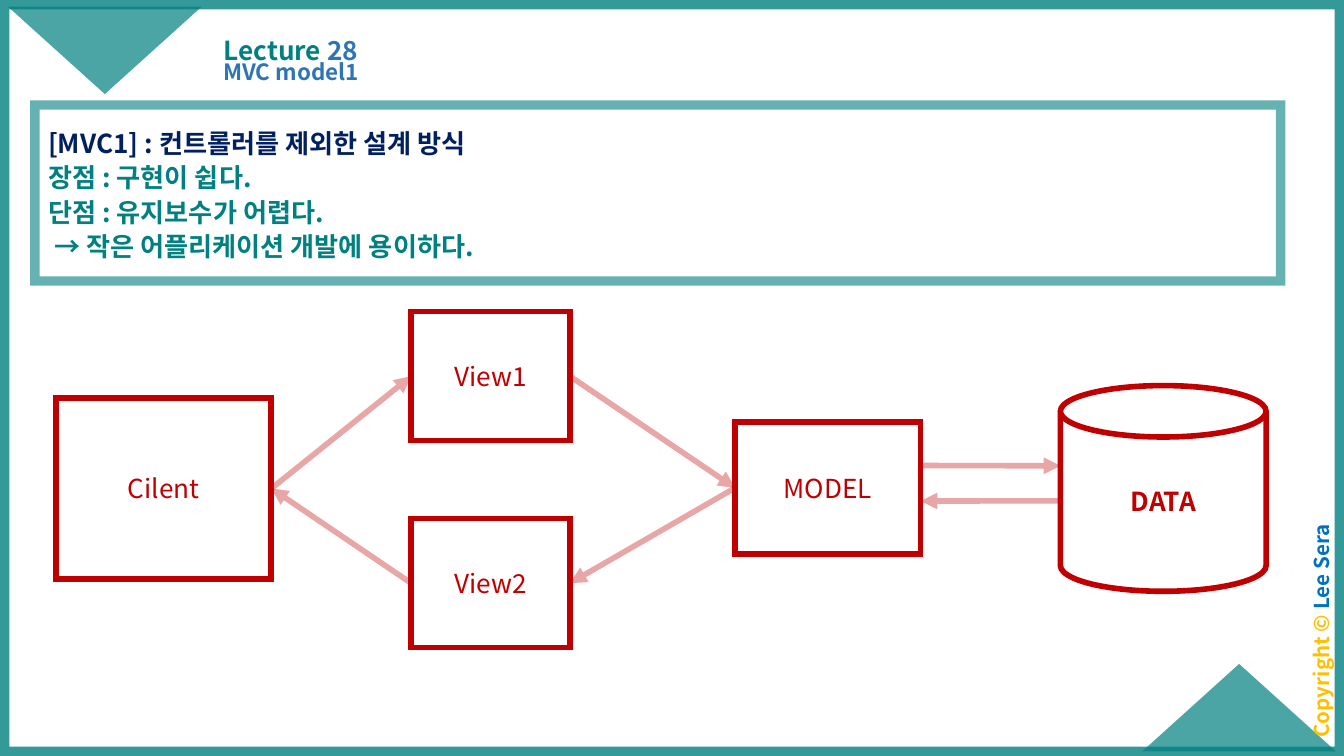
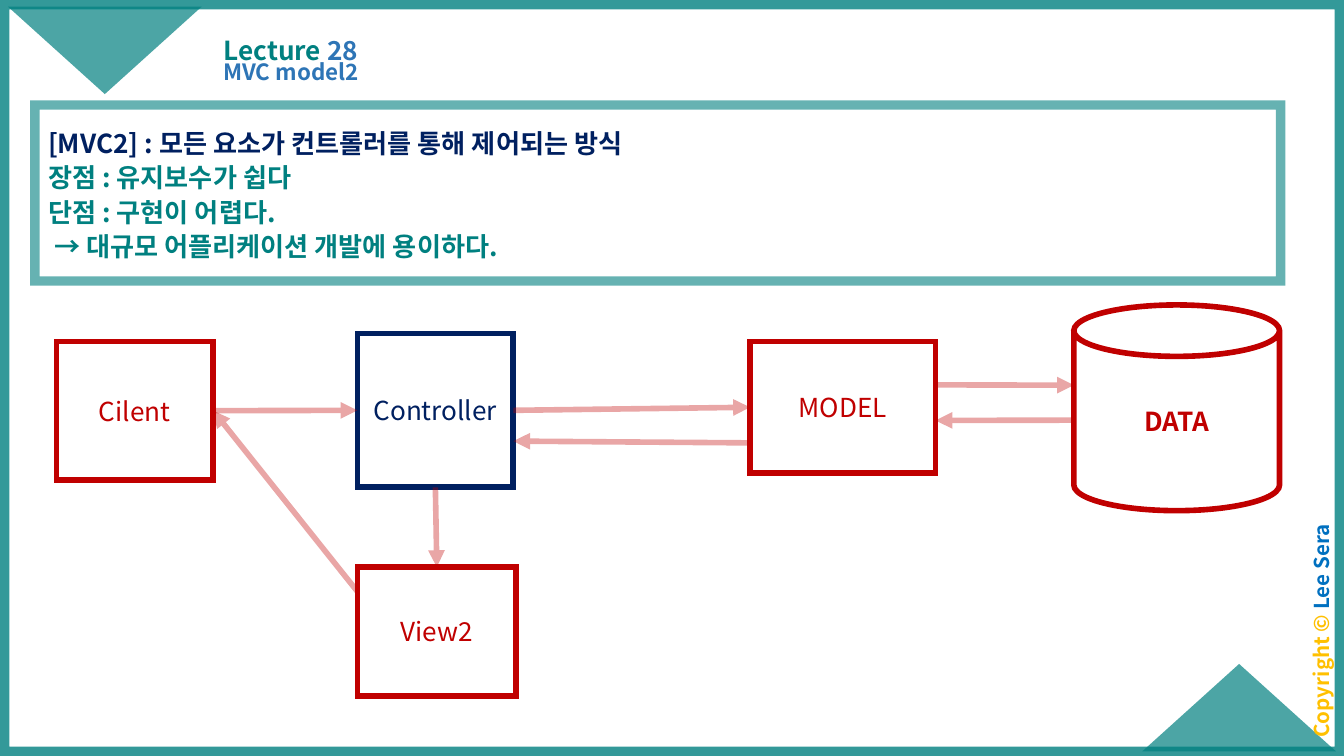
"""Builds two lecture slides that compare the MVC model 1 and model 2 designs."""
from dataclasses import dataclass
from typing import Optional

from lxml.etree import SubElement
from pptx import Presentation
from pptx.dml.color import RGBColor
from pptx.enum.shapes import MSO_CONNECTOR, MSO_SHAPE
from pptx.enum.text import MSO_ANCHOR, PP_ALIGN
from pptx.oxml.ns import qn
from pptx.shapes.autoshape import Shape
from pptx.slide import Slide
from pptx.text.text import TextFrame
from pptx.util import Pt

FONT = "Noto Sans CJK KR"
TEAL = RGBColor(0x00, 0x80, 0x80)
BLUE = RGBColor(0x2E, 0x75, 0xB6)
BRIGHT_BLUE = RGBColor(0x00, 0x70, 0xC0)
NAVY = RGBColor(0x00, 0x20, 0x60)
GOLD = RGBColor(0xFF, 0xC0, 0x00)
RED = RGBColor(0xC0, 0x00, 0x00)
WIDTH, HEIGHT = 720, 405


@dataclass(frozen=True)
class Box:
    left: float
    top: float
    width: float
    height: float

    def lengths(self) -> tuple[Pt, Pt, Pt, Pt]:
        return Pt(self.left), Pt(self.top), Pt(self.width), Pt(self.height)

    def point(self, across: float, down: float) -> tuple[Pt, Pt]:
        return Pt(self.left + across * self.width), Pt(self.top + down * self.height)


@dataclass(frozen=True)
class Span:
    text: str
    color: RGBColor


@dataclass(frozen=True)
class TextStyle:
    size: float = 14
    bold: bool = True
    align: PP_ALIGN = PP_ALIGN.CENTER
    spacing: float = 0.9
    before: float = 0


@dataclass(frozen=True)
class Node:
    label: str
    box: Box
    color: RGBColor = RED
    preset: MSO_SHAPE = MSO_SHAPE.RECTANGLE
    bold: bool = False


@dataclass(frozen=True)
class End:
    label: str
    across: float
    down: float = 0.5


@dataclass(frozen=True)
class Link:
    start: End
    finish: End


@dataclass(frozen=True)
class Lesson:
    subtitle: str
    definition: str
    remarks: tuple[str, ...]
    nodes: tuple[Node, ...]
    links: tuple[Link, ...]


FRAME = Box(0, 0, WIDTH, HEIGHT)
LOWER_CORNER = Box(612, 355.7, 103.7, 46.8)
UPPER_CORNER = Box(4.3, 3.6, 103.7, 46.8)
COPYRIGHT = Box(642.2, 329, 133.9, 18)
TITLE = Box(100.8, 4.3, 110.2, 33.8)
SUBTITLE = Box(79.2, 30.2, 153.4, 24.5)
SUMMARY = Box(18.7, 56.2, 667.4, 94.3)
VIEW_SIZE = (85, 69.1)
MODEL_SIZE = (99.4, 70.6)
DATA_SIZE = (110.2, 110.2)


def write(frame: TextFrame, lines: list[list[Span]], style: TextStyle) -> None:
    frame.word_wrap = True
    for index, spans in enumerate(lines):
        paragraph = frame.add_paragraph() if index else frame.paragraphs[0]
        paragraph.alignment = style.align
        paragraph.line_spacing = style.spacing
        paragraph.space_before = Pt(style.before)
        font = paragraph.font
        font.name, font.size, font.bold = FONT, Pt(style.size), style.bold
        if len(spans) == 1:
            font.color.rgb = spans[0].color
        defaults = paragraph._p.pPr.find(qn("a:defRPr"))
        SubElement(defaults, qn("a:ea"), typeface=FONT)
        for span in spans:
            run = paragraph.add_run()
            run.text = span.text
            if len(spans) > 1:
                run.font.color.rgb = span.color


def set_opacity(parent, percent: int) -> None:
    color = parent.find(qn("a:solidFill")).find(qn("a:srgbClr"))
    SubElement(color, qn("a:alpha"), val=str(percent * 1000))


def add_outline(slide: Slide, preset: MSO_SHAPE, box: Box, color: RGBColor,
                weight: float, opacity: Optional[int] = None) -> Shape:
    shape = slide.shapes.add_shape(preset, *box.lengths())
    shape.shadow.inherit = False
    shape.fill.background()
    shape.line.color.rgb = color
    shape.line.width = Pt(weight)
    stroke = shape._element.spPr.find(qn("a:ln"))
    SubElement(stroke, qn("a:miter"), lim="800000")
    if opacity is not None:
        set_opacity(stroke, opacity)
    return shape


def add_corner(slide: Slide, box: Box, rotation: float = 0) -> None:
    corner = slide.shapes.add_shape(MSO_SHAPE.ISOSCELES_TRIANGLE, *box.lengths())
    corner.shadow.inherit = False
    corner.rotation = rotation
    corner.fill.solid()
    corner.fill.fore_color.rgb = TEAL
    corner.line.fill.background()
    set_opacity(corner._element.spPr, 70)


def add_caption(slide: Slide, box: Box, spans: list[Span], style: TextStyle,
                anchor: MSO_ANCHOR = MSO_ANCHOR.TOP, rotation: float = 0) -> None:
    caption = slide.shapes.add_textbox(*box.lengths())
    caption.rotation = rotation
    frame = caption.text_frame
    frame.margin_left = frame.margin_right = Pt(5.4)
    frame.margin_top = frame.margin_bottom = Pt(2.7)
    frame.vertical_anchor = anchor
    write(frame, [spans], style)


def add_node(slide: Slide, node: Node) -> None:
    shape = add_outline(slide, node.preset, node.box, node.color, 3)
    shape.text_frame.vertical_anchor = MSO_ANCHOR.MIDDLE
    write(shape.text_frame, [[Span(node.label, node.color)]],
          TextStyle(bold=node.bold, spacing=1.0))


def add_link(slide: Slide, link: Link, boxes: dict[str, Box]) -> None:
    start, finish = (boxes[end.label].point(end.across, end.down)
                     for end in (link.start, link.finish))
    arrow = slide.shapes.add_connector(MSO_CONNECTOR.STRAIGHT, *start, *finish)
    arrow.line.color.rgb = RED
    arrow.line.width = Pt(3)
    properties = arrow._element.spPr
    stroke = properties.find(qn("a:ln"))
    set_opacity(stroke, 35)
    SubElement(stroke, qn("a:tailEnd"), type="triangle")
    SubElement(properties, qn("a:effectLst"))


def add_lesson(slide: Slide, lesson: Lesson) -> None:
    add_outline(slide, MSO_SHAPE.RECTANGLE, FRAME, TEAL, 10, 80)
    add_corner(slide, LOWER_CORNER)
    add_corner(slide, UPPER_CORNER, 180)
    add_caption(slide, COPYRIGHT, [Span("Copyright © ", GOLD), Span("Lee Sera", BRIGHT_BLUE)],
                TextStyle(size=11, before=10), rotation=270)
    add_caption(slide, TITLE, [Span("Lecture ", TEAL), Span("28", BLUE)],
                TextStyle(), MSO_ANCHOR.BOTTOM)
    add_caption(slide, SUBTITLE, [Span(lesson.subtitle, BLUE)], TextStyle(size=12, before=7.5))
    summary = add_outline(slide, MSO_SHAPE.RECTANGLE, SUMMARY, TEAL, 5, 60)
    summary.text_frame.vertical_anchor = MSO_ANCHOR.MIDDLE
    lines = [[Span(lesson.definition, NAVY)]] + [[Span(text, TEAL)] for text in lesson.remarks]
    write(summary.text_frame, lines, TextStyle(align=PP_ALIGN.LEFT, spacing=1.1))
    for node in lesson.nodes:
        add_node(slide, node)
    boxes = {node.label: node.box for node in lesson.nodes}
    for link in lesson.links:
        add_link(slide, link, boxes)


def data_node(left: float, top: float) -> Node:
    return Node("DATA", Box(left, top, *DATA_SIZE), preset=MSO_SHAPE.CAN, bold=True)


DATA_LINKS = (
    Link(End("MODEL", 1, 0.33), End("DATA", 0, 0.39)),
    Link(End("DATA", 0, 0.56), End("MODEL", 1, 0.6)),
)

LESSONS = (
    Lesson(
        "MVC model1",
        "[MVC1] : 컨트롤러를 제외한 설계 방식",
        ("장점 : 구현이 쉽다.", "단점 : 유지보수가 어렵다.",
         " → 작은 어플리케이션 개발에 용이하다."),
        (
            Node("View1", Box(220.3, 167, *VIEW_SIZE)),
            Node("Cilent", Box(30.2, 213.1, 115.2, 97.2)),
            data_node(568.1, 206.6),
            Node("View2", Box(220.3, 277.9, *VIEW_SIZE)),
            Node("MODEL", Box(393.8, 226.1, *MODEL_SIZE)),
        ),
        (
            Link(End("Cilent", 1), End("View1", 0)),
            Link(End("View1", 1), End("MODEL", 0)),
            *DATA_LINKS,
            Link(End("MODEL", 0), End("View2", 1)),
            Link(End("View2", 0), End("Cilent", 1)),
        ),
    ),
    Lesson(
        "MVC model2",
        "[MVC2] : 모든 요소가 컨트롤러를 통해 제어되는 방식",
        ("장점 : 유지보수가 쉽다", "단점 : 구현이 어렵다.",
         " → 대규모 어플리케이션 개발에 용이하다."),
        (
            Node("Cilent", Box(30.2, 182.9, 84, 74.2)),
            data_node(575.3, 163.4),
            Node("View2", Box(191.5, 303.8, *VIEW_SIZE)),
            Node("MODEL", Box(401.8, 182.9, *MODEL_SIZE)),
            Node("Controller", Box(191.5, 178.6, 83.5, 82.5), NAVY),
        ),
        (
            Link(End("Cilent", 1), End("Controller", 0)),
            Link(End("Controller", 1), End("MODEL", 0)),
            *DATA_LINKS,
            Link(End("MODEL", 0, 0.77), End("Controller", 1, 0.7)),
            Link(End("View2", 0, 0.19), End("Cilent", 1)),
            Link(End("Controller", 0.5, 1), End("View2", 0.5, 0)),
        ),
    ),
)


def main() -> None:
    deck = Presentation()
    deck.slide_width, deck.slide_height = Pt(WIDTH), Pt(HEIGHT)
    for lesson in LESSONS:
        add_lesson(deck.slides.add_slide(deck.slide_layouts[6]), lesson)
    deck.save("out.pptx")


main()
